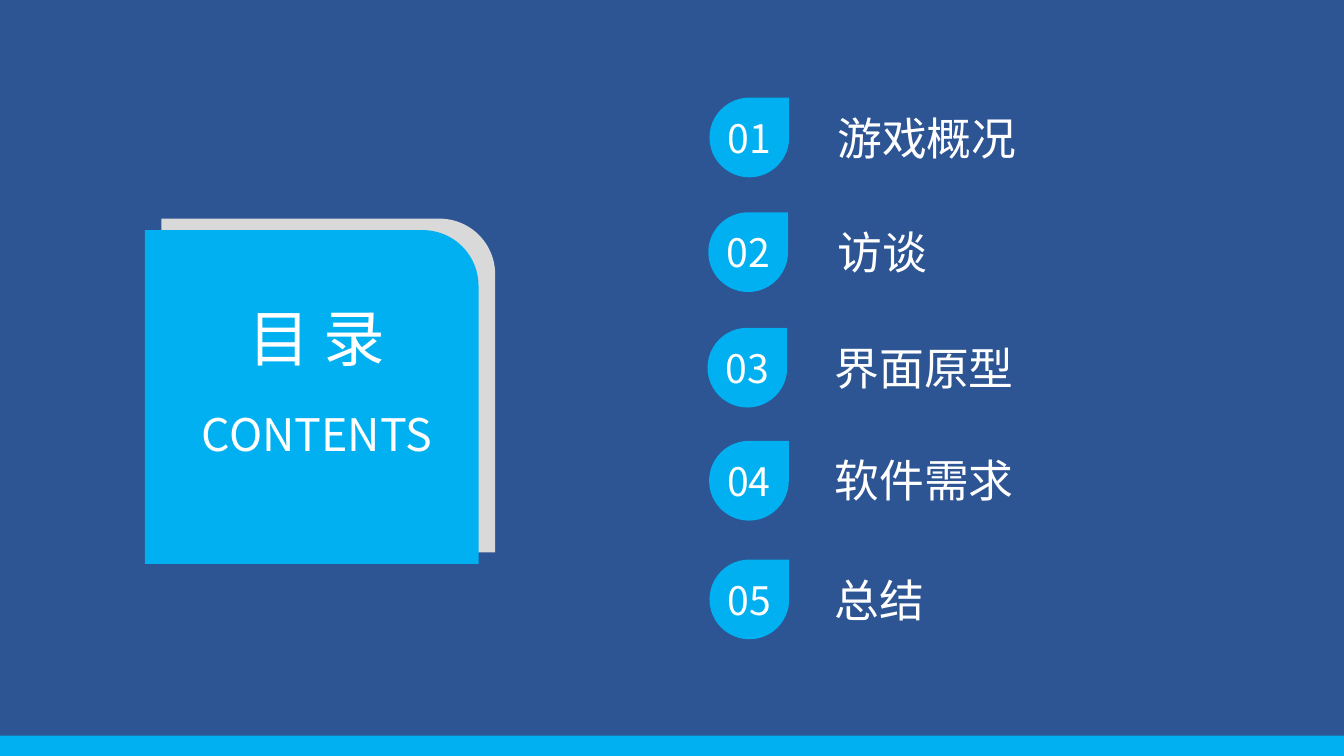
from lxml import etree
from pptx import Presentation
from pptx import util as u
from pptx.dml.color import RGBColor
from pptx.enum import shapes, text
from pptx.oxml.ns import qn

NAVY = RGBColor(0x2D, 0x54, 0x93)
CYAN = RGBColor(0x00, 0xB0, 0xF0)
GREY = RGBColor(0xD9, 0xD9, 0xD9)
WHITE = RGBColor(0xFF, 0xFF, 0xFF)
WIDE, HIGH = 33.87, 19.05
KIND = shapes.MSO_SHAPE
ALIGN = text.PP_ALIGN


class Deck:
    """Holds the text style and the current slide; lengths are in cm."""

    def __init__(self, font, color):
        self.font, self.color = font, color
        self.file = Presentation()
        self.file.slide_width = u.Cm(WIDE)
        self.file.slide_height = u.Cm(HIGH)
        self.slide = self.file.slides.add_slide(self.file.slide_layouts[6])

    def shape(self, kind, box, fill):
        item = self.slide.shapes.add_shape(kind, *map(u.Cm, box))
        item.shadow.inherit = False
        item.fill.solid()
        item.fill.fore_color.rgb = fill
        item.line.fill.background()
        return item

    def put(self, frame, words, size, align):
        frame.text = words
        para = frame.paragraphs[0]
        para.alignment = align
        font = para.runs[0].font
        font.name, font.size = self.font, u.Pt(size)
        font.color.rgb = self.color
        # East Asian glyphs need their own typeface entry
        east = etree.Element(qn("a:ea"), typeface=self.font)
        para.runs[0]._r.rPr.find(qn("a:latin")).addnext(east)

    def label(self, box, words, size, align=ALIGN.LEFT):
        frame = self.slide.shapes.add_textbox(*map(u.Cm, box)).text_frame
        frame.word_wrap = True
        frame.auto_size = text.MSO_AUTO_SIZE.SHAPE_TO_FIT_TEXT
        self.put(frame, words, size, align)

    def badge(self, left, top, words):
        drop = self.shape(KIND.TEAR, (left, top, 2.01, 2.01), CYAN)
        frame = drop.text_frame
        frame.margin_left = frame.margin_right = u.Cm(0.1)
        frame.margin_top = frame.margin_bottom = u.Cm(0.13)
        frame.vertical_anchor = text.MSO_ANCHOR.MIDDLE
        self.put(frame, words, 28, ALIGN.CENTER)


def main():
    deck = Deck("Noto Sans CJK SC", WHITE)

    # Backdrop and bottom band
    deck.shape(KIND.RECTANGLE, (0, 0, WIDE, HIGH), NAVY)
    deck.shape(KIND.RECTANGLE, (0, 18.54, WIDE, 0.51), CYAN)

    # Title card
    card = KIND.ROUND_1_RECTANGLE
    deck.shape(card, (4.07, 5.51, 8.41, 8.41), GREY)
    deck.shape(card, (3.65, 5.8, 8.41, 8.41), CYAN)
    deck.label((3.89, 7.44, 8.18, 2.14), "目 录", 44, ALIGN.CENTER)
    deck.label((2.82, 10.13, 10.34, 1.62), "CONTENTS", 32, ALIGN.CENTER)

    # Chapters: badge left, badge top, label left, label top, name
    rows = [
        (17.88, 2.46, 20.85, 2.67, "游戏概况"),
        (17.85, 5.35, 20.85, 5.54, "访谈"),
        (17.83, 8.26, 20.78, 8.46, "界面原型"),
        (17.87, 11.11, 20.78, 11.28, "软件需求"),
        (17.88, 14.1, 20.78, 14.3, "总结"),
    ]
    for num, (left, top, start, head, name) in enumerate(rows, 1):
        deck.badge(left, top, f"{num:02}")
        deck.label((start, head, 9.2, 1.62), name, 32)

    deck.file.save("out.pptx")


if __name__ == "__main__":
    main()
